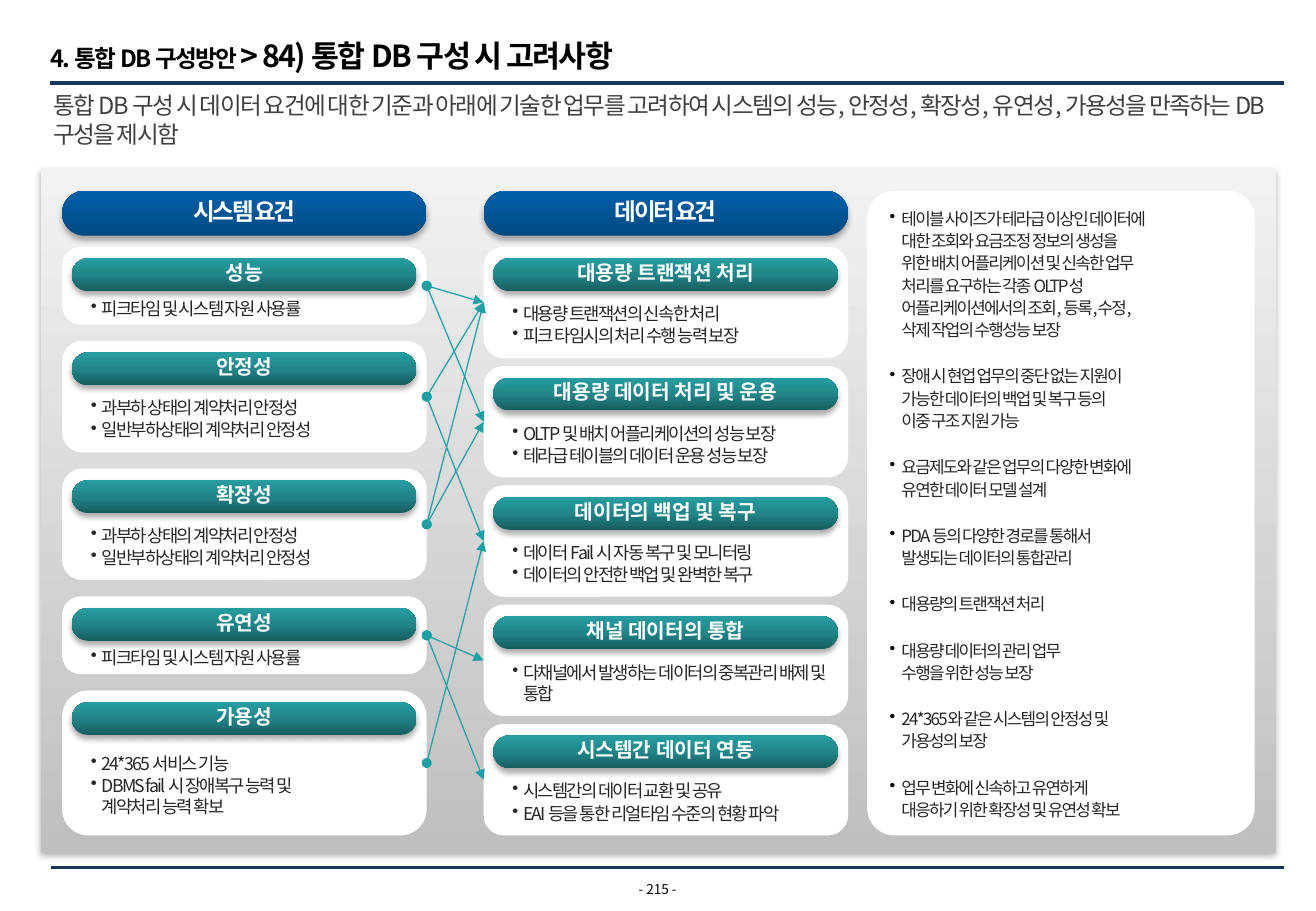
"""Build the slide on what to consider when composing an integrated database."""
from copy import deepcopy
from lxml.etree import SubElement
from pptx import Presentation
from pptx.dml.color import RGBColor
from pptx.enum.shapes import MSO_CONNECTOR, MSO_SHAPE
from pptx.enum.text import MSO_ANCHOR, PP_ALIGN
from pptx.oxml.ns import qn
from pptx.util import Cm, Pt

THEME = {
    "font": "Noto Sans CJK KR",
    "rule": "17375E",
    "link": "1E9FA2",
    "white": ["FFFFFF"],
    "back": ["BFBFBF", "F2F2F2"],
    "head": ["004A82", "0060A8"],
    "cap": ["175D5F", "218588", "279DA1"],
    "text": {
        "title": {"color": "000000", "sizes": (14, 18), "bold": True, "track": -1},
        "lead": {"color": "404040", "sizes": (14,), "bold": False, "track": -1},
        "head": {"color": "FFFFFF", "sizes": (14,), "bold": True, "track": -1.5},
        "cap": {"color": "FFFFFF", "sizes": (12,), "bold": True, "track": 0},
        "item": {"color": "262626", "sizes": (10.5,), "bold": False, "track": -1},
        "note": {"color": "262626", "sizes": (10,), "bold": False, "track": -1},
        "page": {"color": "000000", "sizes": (8,), "bold": False, "track": 0},
    },
}
MID = {"alignment": PP_ALIGN.CENTER}
TIGHT = {"alignment": PP_ALIGN.CENTER, "line_spacing": 0.8}

deck = Presentation()
deck.slide_width, deck.slide_height = Cm(27.51), Cm(19.05)
slide = deck.slides.add_slide(deck.slide_layouts[6])
shapes = slide.shapes


def block(kind, place, tones, round=None, shade=False):
    """Add a filled shape without an outline."""
    shape = shapes.add_shape(kind, *map(Cm, place))
    shape.shadow.inherit = False
    shape.line.fill.background()
    if round is not None:
        shape.adjustments[0] = round
    props = shape._element.spPr
    if len(tones) == 1:
        shape.fill.solid()
        shape.fill.fore_color.rgb = RGBColor.from_string(tones[0])
    else:
        shape.fill.gradient()
        shape.fill.gradient_angle = 90
        stops = props.find(".//" + qn("a:gsLst"))
        stops.clear()
        for i, tone in enumerate(tones):
            stop = SubElement(stops, qn("a:gs"), pos=str(100000 * i // (len(tones) - 1)))
            SubElement(stop, qn("a:srgbClr"), val=tone)
    if shade:
        glow = SubElement(props.find(qn("a:effectLst")), qn("a:outerShdw"), blurRad=str(Pt(3.5)),
                          dist=str(Pt(2.2)), dir="5400000", algn="t", rotWithShape="0")
        tint = SubElement(glow, qn("a:srgbClr"), val="000000")
        SubElement(tint, qn("a:alpha"), val="32000")
    return shape


def write(shape, lines, style, form={}, inset=(0, 0, 0, 0), anchor=MSO_ANCHOR.MIDDLE,
          mark=None, hang=0.23, gap=0.5):
    """Fill a shape with paragraphs; a bar parts runs of unlike size."""
    look = THEME["text"][style]
    frame = shape.text_frame
    sides = ("margin_left", "margin_top", "margin_right", "margin_bottom")
    setup = {"word_wrap": True, "vertical_anchor": anchor, **dict(zip(sides, map(Cm, inset)))}
    for name, value in setup.items():
        setattr(frame, name, value)
    for n, line in enumerate(lines):
        para = frame.add_paragraph() if n else frame.paragraphs[0]
        if mark:
            props = para._p.get_or_add_pPr()
            props.set("marL", str(Cm(hang)))
            props.set("indent", str(-Cm(hang)))
            SubElement(SubElement(props, qn("a:buClr")), qn("a:srgbClr"), val=mark)
            SubElement(props, qn("a:buChar"), char="•")
        for name, value in {"alignment": PP_ALIGN.LEFT, **form}.items():
            setattr(para, name, value)
        if n:
            para.space_before = Pt(gap)
        for size, part in zip(look["sizes"], line.split("|")):
            for i, piece in enumerate(part.split("\n")):
                if i:
                    para.add_line_break()
                run = para.add_run()
                run.text = piece
                for name, value in {"name": THEME["font"], "size": Pt(size), "bold": look["bold"]}.items():
                    setattr(run.font, name, value)
                run.font.color.rgb = RGBColor.from_string(look["color"])
                props = run._r.get_or_add_rPr()
                props.set("spc", str(int(look["track"] * 100)))
                SubElement(props, qn("a:ea"), typeface=THEME["font"])
                for gap_mark in para._p.findall(qn("a:br")):
                    if len(gap_mark) == 0:
                        gap_mark.append(deepcopy(props))


for left, top in ((1.04, 1.73), (1.07, 18.14)):
    rule = shapes.add_connector(MSO_CONNECTOR.STRAIGHT, Cm(left), Cm(top), Cm(26.85), Cm(top))
    rule.line.width = Pt(2.25)
    rule.line.color.rgb = RGBColor.from_string(THEME["rule"])
    SubElement(rule._element.spPr, qn("a:effectLst"))

texts = [
    ((12.9, 18.42, 1.7, 0.33), "- 215 -", "page", MID, (0, 0, 0, 0), MSO_ANCHOR.MIDDLE),
    ((0.86, 1.78, 26.42, 1.45),
     "통합 DB 구성 시 데이터 요건에 대한 기준과 아래에 기술한 업무를 고려하여 시스템의 성능, 안정성, 확장성, "
     "유연성, 가용성을 만족하는 DB 구성을 제시함", "lead", {}, (0.25, 0.13, 0.25, 0.13), MSO_ANCHOR.TOP),
    ((0.56, 0.36, 18.08, 1.17), "4. 통합 DB 구성방안 |> 84) 통합 DB 구성 시 고려사항",
     "title", {}, (0.5, 0.41, 0, 0), MSO_ANCHOR.TOP),
]
for place, line, style, form, inset, anchor in texts:
    write(shapes.add_textbox(*map(Cm, place)), [line], style, form, inset, anchor)

block(MSO_SHAPE.RECTANGLE, (0.86, 3.53, 25.81, 14.3), THEME["back"], shade=True)
panel = block(MSO_SHAPE.ROUNDED_RECTANGLE, (18.13, 3.99, 8.1, 13.48), THEME["white"], 0.07)
notes = [
    "테이블 사이즈가 테라급 이상인 데이터에\n대한 조회와 요금조정 정보의 생성을\n위한 배치 어플리케이션 및 신속한 업무\n"
    "처리를 요구하는 각종 OLTP성\n어플리케이션에서의 조회, 등록,수정,\n삭제 작업의 수행성능 보장",
    "장애 시 현업 업무의 중단 없는 지원이\n가능한 데이터의 백업 및 복구 등의\n이중 구조 지원 가능",
    "요금제도와 같은 업무의 다양한 변화에\n유연한 데이터 모델 설계",
    "PDA 등의 다양한 경로를 통해서\n발생되는 데이터의 통합관리",
    "대용량의 트랜잭션 처리",
    "대용량 데이터의 관리 업무\n수행을 위한 성능 보장",
    "24*365와 같은 시스템의 안정성 및\n가용성의 보장",
    "업무 변화에 신속하고 유연하게\n대응하기 위한 확장성 및 유연성 확보",
]
write(panel, notes, "note", {"line_spacing": 1.1}, (0.3, 0, 0, 0), mark="000000", hang=0.25, gap=14.2)

usage = ["피크타임 및 시스템 자원 사용률"]
load = ["과부하 상태의 계약처리 안정성", "일반부하상태의 계약처리 안정성"]
columns = [
    (1.3, "시스템 요건", [
        ("성능", 1, usage),
        ("안정성", 2, load),
        ("확장성", 2, load),
        ("유연성", 1, usage),
        ("가용성", 3, ["24*365 서비스 기능", "DBMS fail 시 장애복구 능력 및\n계약처리 능력 확보"]),
    ]),
    (10.11, "데이터 요건", [
        ("대용량 트랜잭션 처리", 2, ["대용량 트랜잭션의 신속한 처리", "피크 타임시의 처리 수행 능력 보장"]),
        ("대용량 데이터 처리 및 운용", 2,
         ["OLTP 및 배치 어플리케이션의 성능 보장", "테라급 테이블의 데이터 운용 성능 보장"]),
        ("데이터의 백업 및 복구", 2, ["데이터 Fail 시 자동 복구 및 모니터링", "데이터의 안전한 백업 및 완벽한 복구"]),
        ("채널 데이터의 통합", 2, ["다채널에서 발생하는 데이터의 중복관리 배제 및 통합"]),
        ("시스템간 데이터 연동", 2, ["시스템간의 데이터 교환 및 공유", "EAI 등을 통한 리얼타임 수준의 현황 파악"]),
    ]),
]
first, last, base, step = 5.16, 17.47, 0.93, 0.7
cards = []
for left, head, items in columns:
    bar = block(MSO_SHAPE.ROUNDED_RECTANGLE, (left, 3.99, 7.62, 0.94), THEME["head"], 0.5, True)
    write(bar, [head], "head", TIGHT)
    gap = (last - first - sum(base + step * rows for _, rows, _ in items)) / (len(items) - 1)
    top, stack = first, []
    for name, rows, lines in items:
        high = base + step * rows
        stack.append(block(MSO_SHAPE.ROUNDED_RECTANGLE, (left, top, 7.62, high), THEME["white"],
                           0.24 if rows == 1 else 0.18))
        cap = block(MSO_SHAPE.ROUNDED_RECTANGLE, (left + 0.2, top + 0.24, 7.21, 0.69), THEME["cap"], 0.5, True)
        write(cap, [name], "cap", TIGHT)
        body = shapes.add_textbox(*map(Cm, (left + 0.6, top + base, 6.81, step * rows)))
        write(body, lines, "item", mark=THEME["text"]["item"]["color"])
        top += high + gap
    cards.append(stack)

needs, data = cards
for start, end in ((0, 0), (0, 1), (1, 0), (1, 2), (2, 1), (2, 0), (4, 2), (3, 4), (3, 3)):
    link = shapes.add_connector(MSO_CONNECTOR.STRAIGHT, 0, 0, 0, 0)
    link.begin_connect(needs[start], 3)
    link.end_connect(data[end], 1)
    link.line.width = Pt(0.75)
    link.line.color.rgb = RGBColor.from_string(THEME["link"])
    edge = link.line._get_or_add_ln()
    for side, tip in (("headEnd", "oval"), ("tailEnd", "triangle")):
        SubElement(edge, qn("a:" + side), type=tip)
    SubElement(link._element.spPr, qn("a:effectLst"))

deck.save("out.pptx")
